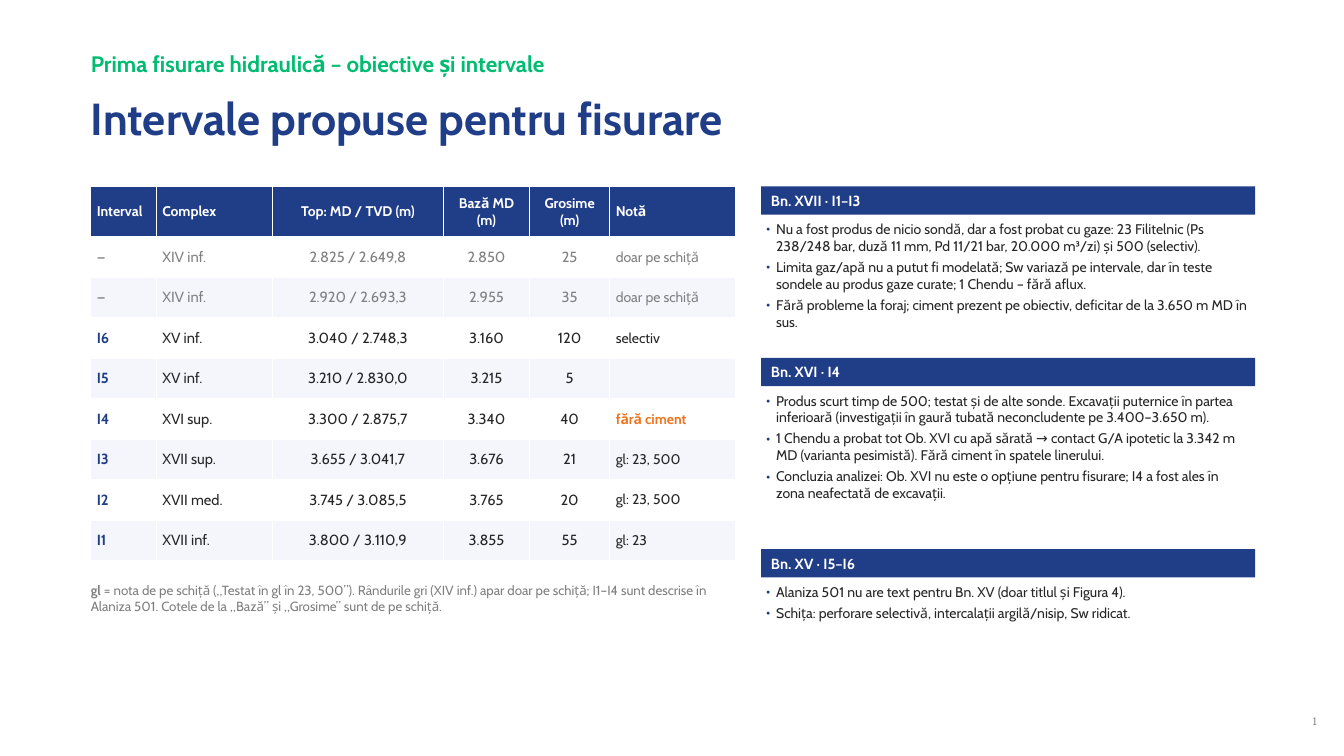
from lxml import etree
from pptx import Presentation
from pptx.dml.color import RGBColor
from pptx.enum.shapes import MSO_SHAPE
from pptx.enum.text import MSO_ANCHOR, MSO_AUTO_SIZE, PP_ALIGN
from pptx.oxml.ns import qn
from pptx.util import Cm, Pt

RECT = MSO_SHAPE.RECTANGLE
TOP, MIDDLE = MSO_ANCHOR.TOP, MSO_ANCHOR.MIDDLE
GROW = MSO_AUTO_SIZE.SHAPE_TO_FIT_TEXT
LEFT, CENTER, RIGHT = PP_ALIGN.LEFT, PP_ALIGN.CENTER, PP_ALIGN.RIGHT

COLORS = {
    "navy": "203D88",
    "green": "00BC70",
    "orange": "EE7623",
    "gray": "808080",
    "ink": "262626",
    "white": "FFFFFF",
    "band": "F4F6FB",
}
FONT = "Cabin"
MARGIN = 2.29
PANEL_LEFT = 19.18
BAR_HEIGHT = 0.71

HEADERS = ["Interval", "Complex", "Top: MD / TVD (m)", "Bază MD (m)", "Grosime (m)", "Notă"]
WIDTHS = [1.65, 2.92, 4.32, 2.16, 2.03, 3.18]
ALIGNS = [LEFT, LEFT, CENTER, CENTER, CENTER, LEFT]
INTERVALS = [
    ["—", "XIV inf.", "2.825 / 2.649,8", "2.850", "25", "doar pe schiță"],
    ["—", "XIV inf.", "2.920 / 2.693,3", "2.955", "35", "doar pe schiță"],
    ["I6", "XV inf.", "3.040 / 2.748,3", "3.160", "120", "selectiv"],
    ["I5", "XV inf.", "3.210 / 2.830,0", "3.215", "5", ""],
    ["I4", "XVI sup.", "3.300 / 2.875,7", "3.340", "40", "fără ciment"],
    ["I3", "XVII sup.", "3.655 / 3.041,7", "3.676", "21", "gl: 23, 500"],
    ["I2", "XVII med.", "3.745 / 3.085,5", "3.765", "20", "gl: 23, 500"],
    ["I1", "XVII inf.", "3.800 / 3.110,9", "3.855", "55", "gl: 23"],
]
PANELS = [
    (4.7, 3.15, "Bn. XVII · I1–I3", [
        "Nu a fost produs de nicio sondă, dar a fost probat cu gaze: 23 Filitelnic (Ps 238/248 bar, "
        "duză 11 mm, Pd 11/21 bar, 20.000 m³/zi) și 500 (selectiv).",
        "Limita gaz/apă nu a putut fi modelată; Sw variază pe intervale, dar în teste sondele au "
        "produs gaze curate; 1 Chendu – fără aflux.",
        "Fără probleme la foraj; ciment prezent pe obiectiv, deficitar de la 3.650 m MD în sus.",
    ]),
    (9.02, 3.51, "Bn. XVI · I4", [
        "Produs scurt timp de 500; testat și de alte sonde. Excavații puternice în partea inferioară "
        "(investigații în gaură tubată neconcludente pe 3.400–3.650 m).",
        "1 Chendu a probat tot Ob. XVI cu apă sărată → contact G/A ipotetic la 3.342 m MD "
        "(varianta pesimistă). Fără ciment în spatele linerului.",
        "Concluzia analizei: Ob. XVI nu este o opțiune pentru fisurare; I4 a fost ales în zona "
        "neafectată de excavații.",
    ]),
    (13.84, 1.12, "Bn. XV · I5–I6", [
        "Alaniza 501 nu are text pentru Bn. XV (doar titlul și Figura 4).",
        "Schița: perforare selectivă, intercalații argilă/nisip, Sw ridicat.",
    ]),
]
NOTE = (" = nota de pe schiță („Testat în gl în 23, 500”). Rândurile gri (XIV inf.) apar doar pe "
        "schiță; I1–I4 sunt descrise în Alaniza 501. Cotele de la „Bază” și „Grosime” sunt de pe schiță.")


def set_attrs(obj, values):
    for name, value in values.items():
        setattr(obj, name, value)


def style_font(font, size, color, bold=False, name=FONT):
    set_attrs(font, {"name": name, "size": Pt(size), "bold": bold})
    font.color.rgb = RGBColor.from_string(COLORS[color])


def add_run(p, text, size, color, bold=False):
    r = p.add_run()
    r.text = text
    style_font(r.font, size, color, bold)


def fill_solid(fill, color):
    fill.solid()
    fill.fore_color.rgb = RGBColor.from_string(COLORS[color])


def add_text(s, left, top, width, height, anchor=TOP):
    tf = s.shapes.add_textbox(Cm(left), Cm(top), Cm(width), Cm(height)).text_frame
    set_attrs(tf, {
        "word_wrap": True, "auto_size": GROW, "vertical_anchor": anchor,
        "margin_left": 0, "margin_right": 0, "margin_top": 0, "margin_bottom": 0,
    })
    return tf


def add_bullet(p):
    pPr = p._p.get_or_add_pPr()
    pPr.set("marL", str(Cm(0.25)))
    pPr.set("indent", str(-Cm(0.25)))
    color = etree.SubElement(pPr, qn("a:buClr"))
    etree.SubElement(color, qn("a:srgbClr"), val=COLORS["navy"])
    etree.SubElement(pPr, qn("a:buFont"), typeface=FONT)
    etree.SubElement(pPr, qn("a:buChar"), char="•")


def add_panel(s, top, height, heading, items):
    sp = s.shapes.add_shape(RECT, Cm(PANEL_LEFT), Cm(top), Cm(12.45), Cm(BAR_HEIGHT))
    sp.shadow.inherit = False
    fill_solid(sp.fill, "navy")
    sp.line.fill.background()
    tf = sp.text_frame
    set_attrs(tf, {
        "vertical_anchor": MIDDLE, "margin_left": Cm(0.25), "margin_right": Cm(0.25),
        "margin_top": 0, "margin_bottom": 0,
    })
    p = tf.paragraphs[0]
    p.alignment = LEFT
    add_run(p, heading, 10.5, "white", True)

    tf = add_text(s, PANEL_LEFT + 0.13, top + 0.86, 12.19, height)
    for i, item in enumerate(items):
        p = tf.add_paragraph() if i else tf.paragraphs[0]
        add_bullet(p)
        p.space_after = Pt(3)
        add_run(p, item, 10, "ink")


def cell_format(row, col, values):
    if row == 0:
        return 10, "white", True
    text = values[col]
    size = 10 if col == len(values) - 1 else 10.5
    if text == "fără ciment":
        return size, "orange", True
    if values[0] == "—":
        return size, "gray", col == 0
    return size, "navy" if col == 0 else "ink", col == 0


def add_interval_table(s):
    rows = [HEADERS] + INTERVALS
    frame = s.shapes.add_table(len(rows), len(WIDTHS), Cm(MARGIN), Cm(4.7), Cm(sum(WIDTHS)), Cm(9.4))
    table = frame.table
    for column, width in zip(table.columns, WIDTHS):
        column.width = Cm(width)
    for i, values in enumerate(rows):
        table.rows[i].height = Cm(1.02 if i else 1.27)
        for j, text in enumerate(values):
            cell = table.cell(i, j)
            set_attrs(cell, {
                "vertical_anchor": MIDDLE, "margin_left": Cm(0.15), "margin_right": Cm(0.15),
                "margin_top": Cm(0.08), "margin_bottom": Cm(0.08),
            })
            fill_solid(cell.fill, "navy" if i == 0 else "white" if i % 2 else "band")
            p = cell.text_frame.paragraphs[0]
            p.alignment = ALIGNS[j]
            if text:
                add_run(p, text, *cell_format(i, j, values))


def add_page_number(s):
    p = add_text(s, 25.81, 17.65, 7.37, 1.02, MIDDLE).paragraphs[0]
    p.alignment = RIGHT
    r = p.add_run()
    r.text = "2"
    style_font(r.font, 8, "gray", name="Cambria")
    field = r._r
    field.tag = qn("a:fld")
    field.set("id", "{5B1D6C1E-3A40-4C55-9A57-0C1F5E2D7A11}")
    field.set("type", "slidenum")


def main():
    prs = Presentation()
    prs.slide_width, prs.slide_height = Cm(33.87), Cm(19.05)
    s = prs.slides.add_slide(prs.slide_layouts[6])
    tf = add_text(s, MARGIN, 1.07, 29.21, 1.07, MIDDLE)
    add_run(tf.paragraphs[0], "Prima fisurare hidraulică – obiective și intervale", 16, "green", True)
    tf = add_text(s, MARGIN, 2.29, 29.46, 1.9)
    add_run(tf.paragraphs[0], "Intervale propuse pentru fisurare", 32, "navy", True)
    add_interval_table(s)
    p = add_text(s, MARGIN, 14.68, 16.13, 1.27).paragraphs[0]
    add_run(p, "gl", 9.5, "gray", True)
    add_run(p, NOTE, 9.5, "gray")
    for panel in PANELS:
        add_panel(s, *panel)
    add_page_number(s)
    prs.save("out.pptx")


if __name__ == "__main__":
    main()
